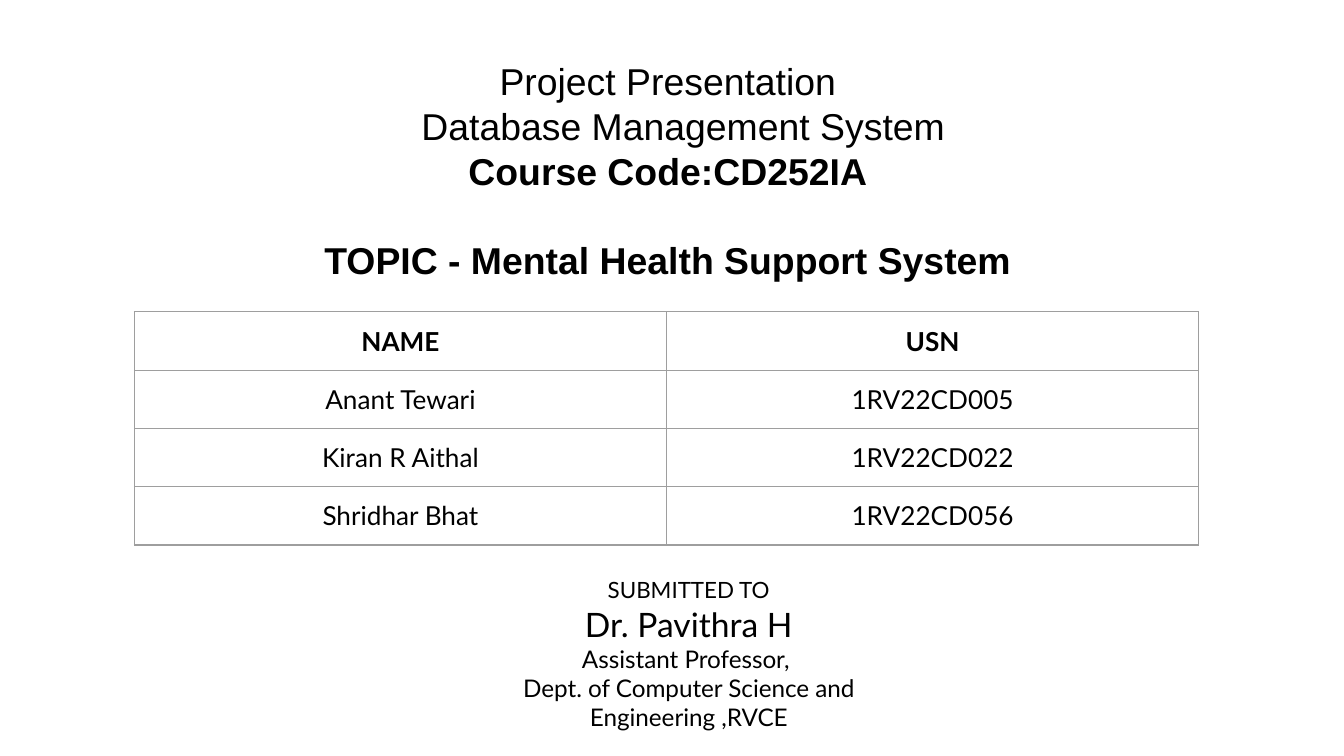
from lxml.etree import SubElement
from pptx import Presentation
from pptx.dml.color import RGBColor as RGB
from pptx.enum.text import MSO_ANCHOR as Anchor, MSO_AUTO_SIZE as Fit, PP_ALIGN as Align
from pptx.oxml.ns import qn
from pptx.util import Inches, Pt


class Theme:
    ink = RGB(0, 0, 0)
    paper = RGB(255, 255, 255)
    rule = "9E9E9E"
    head, body = "Arial", "Lato"
    title, cell, label, name, role = 20, 14, 12, 18, 13
    line = 24


# text, bold, left indent in inches, points before
TITLE = [
    ("Project Presentation", False, 0, 0),
    ("Database Management System", False, 0.23, 0),
    ("Course Code:CD252IA", True, 0, 0),
    ("TOPIC - Mental Health Support System", True, 0, Theme.line),
]
TEAM = [
    ("NAME", "USN"),
    ("Anant Tewari", "1RV22CD005"),
    ("Kiran R Aithal", "1RV22CD022"),
    ("Shridhar Bhat", "1RV22CD056"),
]
GUIDE = [
    (["SUBMITTED TO"], Theme.label),
    (["Dr. Pavithra H"], Theme.name),
    (["Assistant Professor, ",
      "Dept. of Computer Science and Engineering ,RVCE"], Theme.role),
]
WIDTH = 10
HEIGHT = WIDTH * 9 / 16
TITLE_BOX = (1.01, 0.92, 7.92, 1.28)
TEAM_BOX = (1, 2.32, 7.92, 1.73)
GUIDE_BOX = (3.57, 4.19, 3.11, 1.36)


def place(shape, box, anchor):
    shape.left, shape.top, shape.width, shape.height = map(Inches, box)
    frame = shape.text_frame
    frame.word_wrap = True
    frame.auto_size = Fit.NONE
    frame.vertical_anchor = anchor
    pad(frame)
    return frame


def pad(item):
    item.margin_left = item.margin_right = Inches(0.1)
    item.margin_top = item.margin_bottom = Inches(0.1)


def next_para(frame, first, indent=0):
    para = frame.paragraphs[0] if first else frame.add_paragraph()
    para.alignment = Align.CENTER
    para.space_before = Pt(0)
    props = para._p.get_or_add_pPr()
    props.set("marL", str(Inches(indent)))
    props.set("indent", "0")
    return para


def write(para, text, face, size, bold=False):
    run = para.add_run()
    run.text = text
    font = run.font
    font.name, font.size, font.bold = face, Pt(size), bold
    font.color.rgb = Theme.ink


def border(cell):
    props = cell._tc.get_or_add_tcPr()
    for i, side in enumerate(("lnL", "lnR", "lnT", "lnB")):
        line = props.makeelement(qn("a:" + side), {"w": str(Pt(0.75))})
        fill = SubElement(line, qn("a:solidFill"))
        SubElement(fill, qn("a:srgbClr"), val=Theme.rule)
        props.insert(i, line)


def add_title(slide):
    frame = place(slide.shapes.title, TITLE_BOX, Anchor.BOTTOM)
    for i, (text, bold, indent, gap) in enumerate(TITLE):
        para = next_para(frame, i == 0, indent)
        para.line_spacing = Pt(Theme.line)
        para.space_before = Pt(gap)
        write(para, text, Theme.head, Theme.title, bold)


def add_team(slide):
    size = len(TEAM), len(TEAM[0])
    table = slide.shapes.add_table(*size, *map(Inches, TEAM_BOX)).table
    table.first_row = table.horz_banding = False
    for r, row in enumerate(TEAM):
        for c, text in enumerate(row):
            cell = table.cell(r, c)
            pad(cell)
            cell.fill.solid()
            cell.fill.fore_color.rgb = Theme.paper
            border(cell)
            para = next_para(cell.text_frame, True)
            write(para, text, Theme.body, Theme.cell, r == 0)


def add_guide(slide):
    shape = slide.placeholders[1]
    frame = place(shape, GUIDE_BOX, Anchor.TOP)
    shape.fill.solid()
    shape.fill.fore_color.rgb = Theme.paper
    for i, (lines, size) in enumerate(GUIDE):
        para = next_para(frame, i == 0)
        for j, text in enumerate(lines):
            if j:
                para.add_line_break()
            write(para, text, Theme.body, size)


def main():
    deck = Presentation()
    deck.slide_width, deck.slide_height = Inches(WIDTH), Inches(HEIGHT)
    slide = deck.slides.add_slide(deck.slide_layouts[0])
    add_guide(slide)
    add_title(slide)
    add_team(slide)
    deck.save("out.pptx")


if __name__ == "__main__":
    main()
